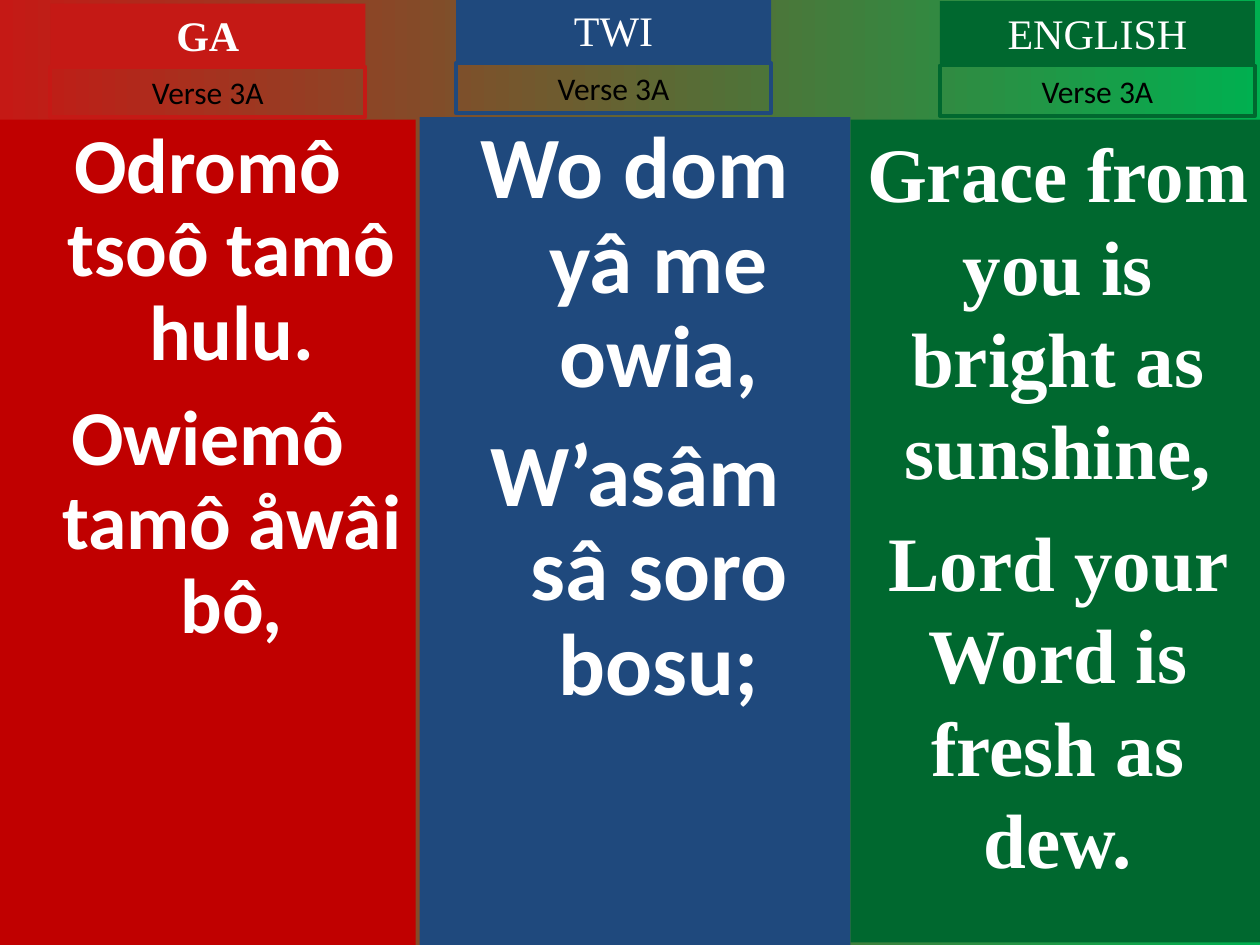
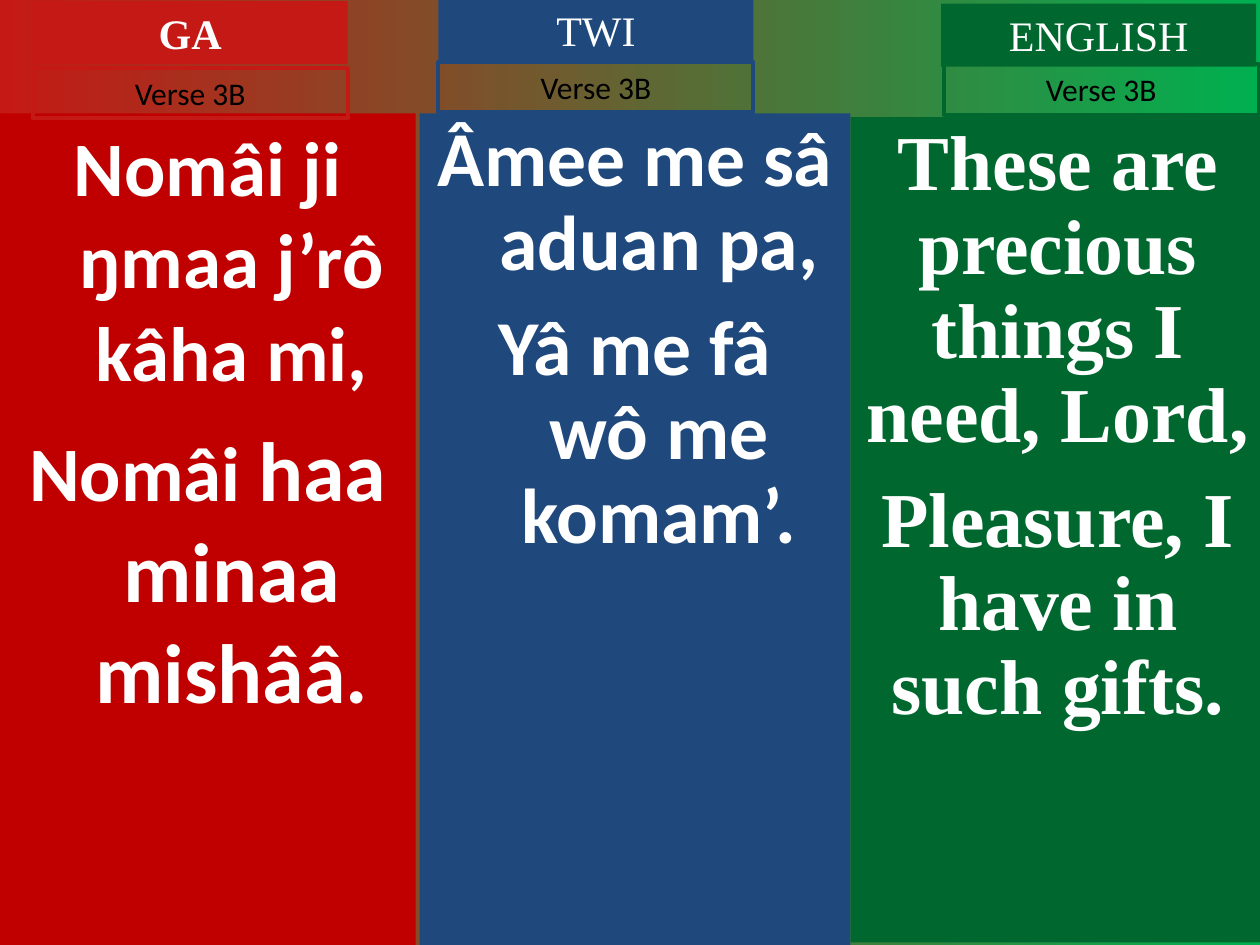
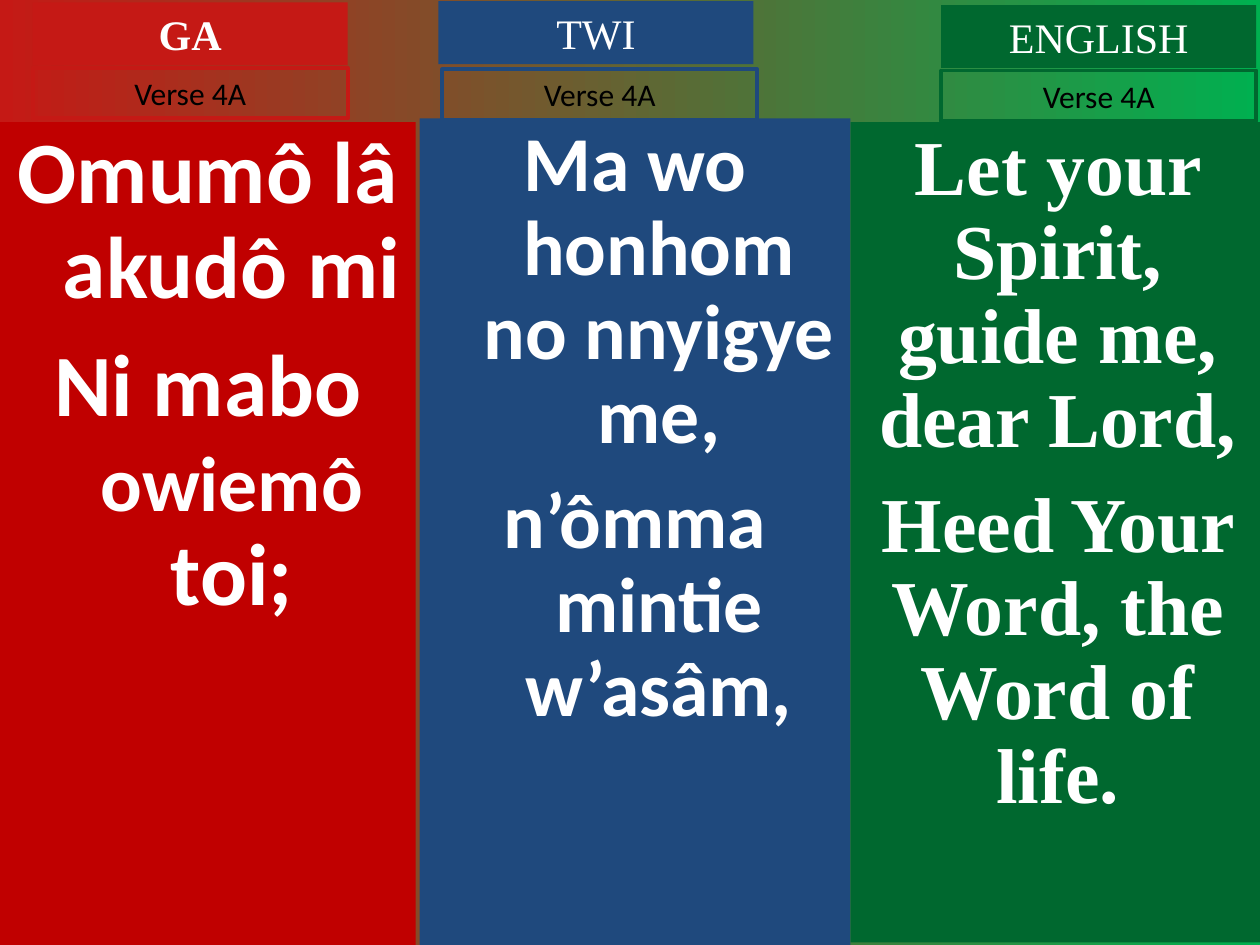
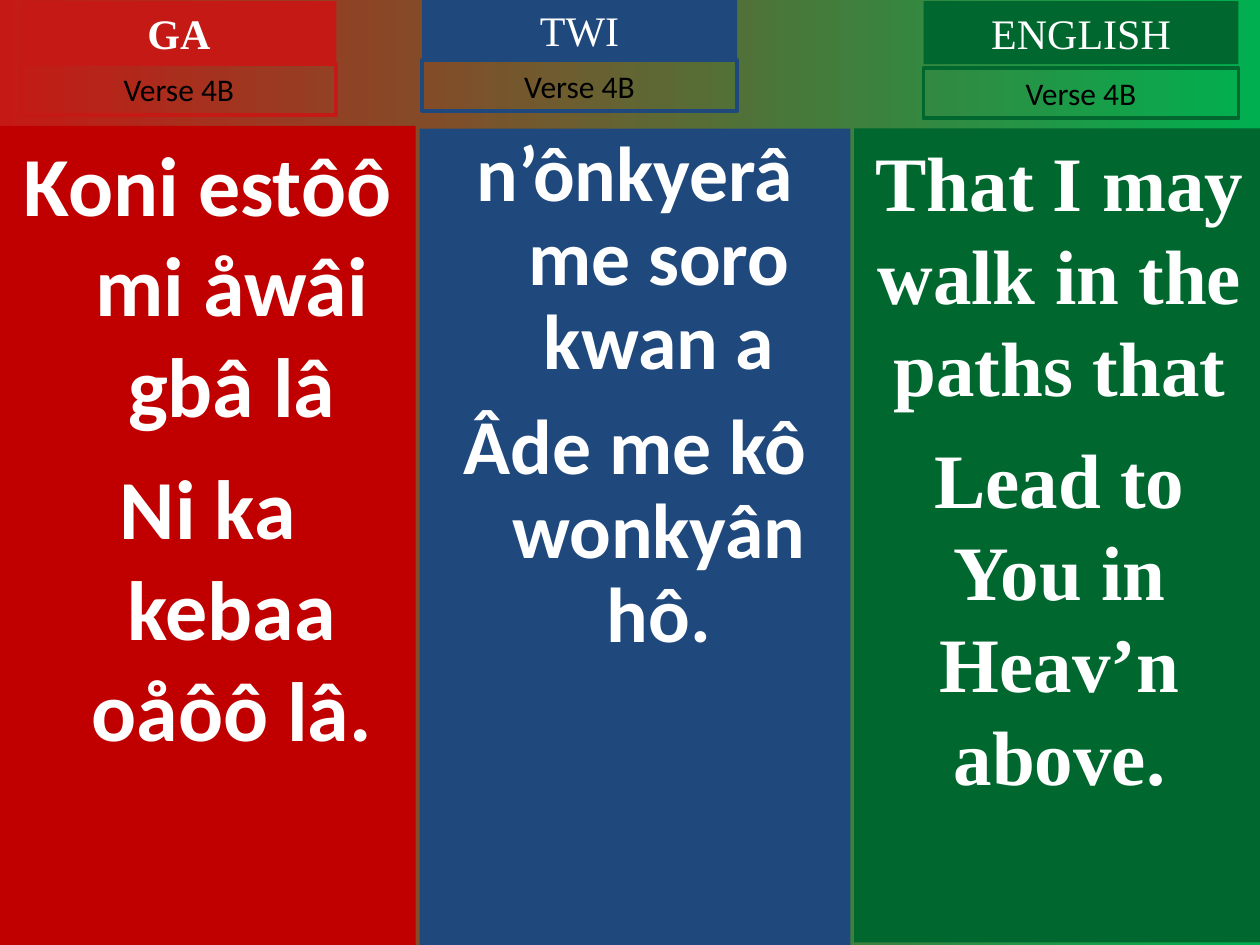
import dataclasses

import pptx
import pptx.dml.color
import pptx.enum.shapes
import pptx.enum.text
import pptx.util

Inches = pptx.util.Inches
Pt = pptx.util.Pt


@dataclasses.dataclass(frozen=True)
class Theme:
    red: str = "C51915"
    crimson: str = "C00000"
    blue: str = "1F497D"
    green: str = "00682F"
    lime: str = "00B050"
    white: str = "FFFFFF"
    black: str = "000000"
    sans: str = "Calibri"
    serif: str = "Times New Roman"
    head: float = 24
    tag: float = 18
    small: float = 44
    mid: float = 44.4
    large: float = 48
    huge: float = 50
    border: float = 2.25
    hang: float = 0.38


T = Theme()


@dataclasses.dataclass(frozen=True)
class Lang:
    name: str
    panel: str
    key: str
    font: str
    right: float
    bottom: float
    hang: float
    bold: bool


@dataclasses.dataclass(frozen=True)
class Column:
    left: float
    top: float
    head: tuple
    tag: tuple
    lines: list
    spacing: float = 0.9
    gap: float = 12


LANGS = [
    Lang("GA", T.crimson, T.red, T.sans, 3.3, 7.5, T.hang, True),
    Lang("TWI", T.blue, T.blue, T.sans, 6.75, 7.5, T.hang, False),
    Lang("ENGLISH", T.green, T.green, T.serif, 10.04, 7.48, 0, False),
]


def plain(size, *texts):
    return [[(text, size)] for text in texts]


VERSES = {
    "Verse 3A": [
        Column(0, 0.95, (0.4, 0.03), (0.4, 0.53),
               plain(T.mid, "Odromô tsoô tamô hulu.", "Owiemô tamô åwâi bô,")),
        Column(3.33, 0.93, (3.62, -0.01), (3.62, 0.5),
               plain(T.huge, "Wo dom yâ me owia,", "W’asâm\nsâ soro bosu;"),
               gap=13.5),
        Column(6.75, 0.95, (7.46, 0.01), (7.46, 0.52),
               plain(T.small, "Grace from you is bright as sunshine,",
                     "Lord your Word is fresh as dew."),
               spacing=1, gap=11),
    ],
    "Verse 3B": [
        Column(0, 0.9, (0.26, 0.01), (0.26, 0.54),
               [[("Nomâi ji ŋmaa j’rô kâha mi,", T.small)],
                [("Nomâi ", T.small), ("haa minaa mishââ.", T.large)]],
               spacing=1),
        Column(3.33, 0.9, (3.48, -0.01), (3.48, 0.49),
               plain(T.mid, "Âmee me sâ aduan pa,", "Yâ me fâ\nwô me komam’.")),
        Column(6.75, 0.93, (7.47, 0.03), (7.49, 0.51),
               plain(T.mid, "These are precious things I need, Lord,",
                     "Pleasure, I have in such gifts.")),
    ],
    "Verse 4A": [
        Column(0, 0.97, (0.26, 0.02), (0.26, 0.54),
               [[("Omumô lâ akudô mi", T.huge)],
                [("Ni mabo ", T.huge), ("owiemô", T.mid), (" toi;", T.huge)]],
               gap=13.5),
        Column(3.33, 0.94, (3.48, 0.01), (3.51, 0.55),
               plain(T.mid, "Ma wo honhom no nnyigye me,",
                     "n’ômma mintie w’asâm,")),
        Column(6.75, 0.97, (7.47, 0.04), (7.47, 0.56),
               plain(T.mid, "Let your Spirit, guide me, dear Lord,",
                     "Heed Your Word, the Word of life.")),
    ],
    "Verse 4B": [
        Column(0, 1, (0.17, 0.01), (0.17, 0.51),
               plain(T.large, "Koni estôô mi åwâi gbâ lâ",
                     "Ni ka kebaa oåôô lâ."),
               spacing=1),
        Column(3.33, 1.02, (3.35, -0.01), (3.35, 0.48),
               plain(T.mid, "n’ônkyerâ me soro kwan a",
                     "Âde me kô wonkyân hô.")),
        Column(6.78, 1.02, (7.33, 0.01), (7.33, 0.54),
               plain(T.small, "That I may walk in the paths that",
                     "Lead to You in Heav’n above."),
               spacing=1, gap=11),
    ],
}


def shade(value):
    return pptx.dml.color.RGBColor.from_string(value)


def add_back(slide):
    fill = slide.background.fill
    fill.gradient()
    fill.gradient_angle = 0
    for stop, hue, place in zip(fill.gradient_stops, (T.red, T.lime), (0, 1)):
        stop.color.rgb = shade(hue)
        stop.position = place


def add_box(slide, left, top, width, height, fill=None, line=None):
    box = slide.shapes.add_shape(
        pptx.enum.shapes.MSO_SHAPE.RECTANGLE,
        Inches(left), Inches(top), Inches(width), Inches(height))
    box.shadow.inherit = False
    if fill:
        box.fill.solid()
        box.fill.fore_color.rgb = shade(fill)
    else:
        box.fill.background()
    if line:
        box.line.color.rgb = shade(line)
        box.line.width = Pt(T.border)
    else:
        box.line.fill.background()
    frame = box.text_frame
    frame.word_wrap = True
    frame.vertical_anchor = pptx.enum.text.MSO_ANCHOR.TOP
    frame.paragraphs[0].alignment = pptx.enum.text.PP_ALIGN.CENTER
    return frame


def add_text(para, text, size, font, hue, bold):
    for index, part in enumerate(text.split("\n")):
        if index:
            para.add_line_break()
        run = para.add_run()
        run.text = part
        run.font.size = Pt(size)
        run.font.name = font
        run.font.bold = bold
        run.font.color.rgb = shade(hue)


def add_panel(slide, lang, col):
    frame = add_box(slide, col.left, col.top, lang.right - col.left,
                    lang.bottom - col.top, fill=lang.panel)
    for index, runs in enumerate(col.lines):
        para = frame.add_paragraph() if index else frame.paragraphs[0]
        para.alignment = pptx.enum.text.PP_ALIGN.CENTER
        para.line_spacing = col.spacing
        if index:
            para.space_before = Pt(col.gap)
        if lang.hang:
            props = para._p.get_or_add_pPr()
            props.set("marL", str(Inches(lang.hang)))
            props.set("indent", str(-Inches(lang.hang)))
        for text, size in runs:
            add_text(para, text, size, lang.font, T.white, True)


def add_label(slide, spot, height, text, size, font, hue, bold=False, **paint):
    frame = add_box(slide, *spot, 2.5, height, **paint)
    frame.auto_size = pptx.enum.text.MSO_AUTO_SIZE.SHAPE_TO_FIT_TEXT
    add_text(frame.paragraphs[0], text, size, font, hue, bold)


def add_verse(deck, title, cols):
    slide = deck.slides.add_slide(deck.slide_layouts[6])
    add_back(slide)
    for lang, col in zip(LANGS, cols):
        add_panel(slide, lang, col)
        add_label(slide, col.head, 0.5, lang.name, T.head, T.serif, T.white,
                  lang.bold, fill=lang.key)
        add_label(slide, col.tag, 0.4, title, T.tag, T.sans, T.black,
                  line=lang.key)


def main():
    deck = pptx.Presentation()
    deck.slide_width = Inches(10)
    deck.slide_height = Inches(7.5)
    for title, cols in VERSES.items():
        add_verse(deck, title, cols)
    deck.save("out.pptx")


if __name__ == "__main__":
    main()
